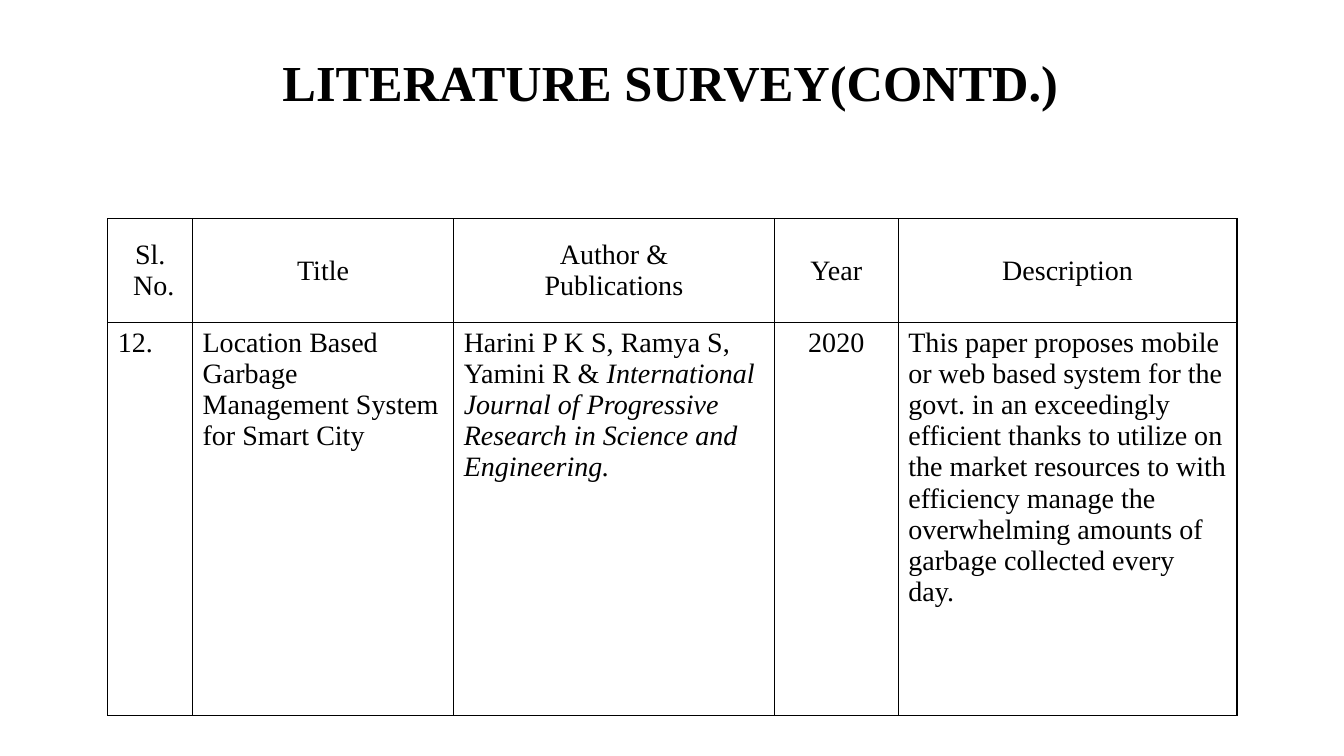
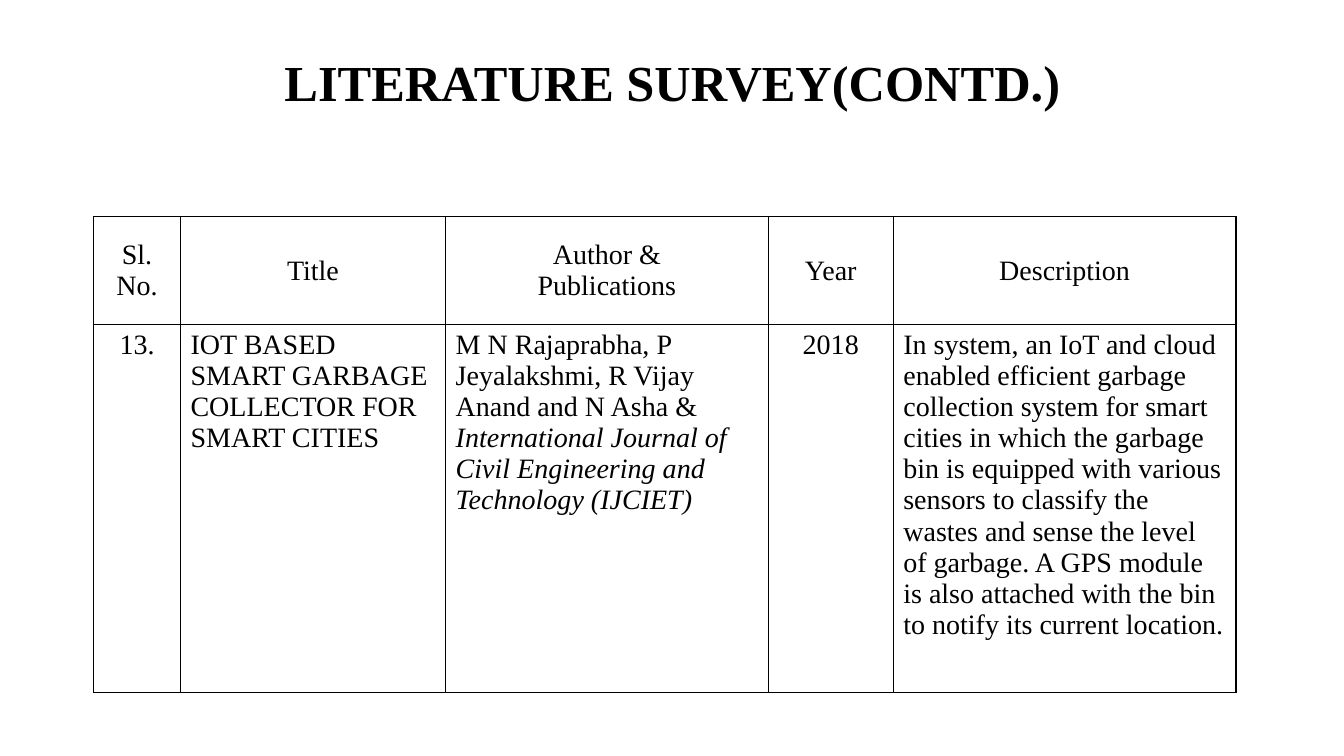
from lxml import etree
from pptx import Presentation
from pptx.dml.color import RGBColor
from pptx.enum.text import MSO_ANCHOR, PP_ALIGN
from pptx.oxml.ns import qn
from pptx.util import Inches, Pt

LEFT, CENTER = PP_ALIGN.LEFT, PP_ALIGN.CENTER
TOP, MIDDLE, BOTTOM = MSO_ANCHOR.TOP, MSO_ANCHOR.MIDDLE, MSO_ANCHOR.BOTTOM

# Content
TITLE = "LITERATURE SURVEY(CONTD.)"
HEADS = ["Title", "Author &\nPublications", "Year", "Description"]
PAPERS = [
    dict(
        title_x=1.65, left=1.07, top=2.17,
        cols=[0.84, 2.59, 3.18, 1.23, 3.36], rows=[1.03, 3.9],
        label="Sl.\n No.", number="12.", align=LEFT,
        name="Location Based Garbage Management System for Smart City",
        authors="Harini P K S, Ramya S, Yamini R & ",
        journal="International Journal of Progressive Research in Science "
                "and Engineering.",
        year="2020",
        about="This paper proposes mobile or web based system for the govt. "
              "in an exceedingly efficient thanks to utilize on the market "
              "resources to with efficiency manage the overwhelming amounts "
              "of garbage collected every day."),
    dict(
        title_x=1.67, left=0.93, top=2.15,
        cols=[0.86, 2.63, 3.2, 1.24, 3.4], rows=[1.07, 3.65],
        label="Sl. No.", number="13.", align=CENTER,
        name="IOT BASED SMART GARBAGE COLLECTOR FOR SMART CITIES",
        authors="M N Rajaprabha, P Jeyalakshmi, R Vijay Anand and N Asha & ",
        journal="International Journal of Civil Engineering and Technology "
                "(IJCIET)",
        year="2018",
        about="In system, an IoT and cloud enabled efficient garbage "
              "collection system for smart cities in which the garbage bin "
              "is equipped with various sensors to classify the wastes and "
              "sense the level of garbage. A GPS module is also attached "
              "with the bin to notify its current location."),
]

# Shared style
FONT = "Times New Roman"
COLORS = {"ink": "000000", "paper": "FFFFFF"}


def put(frame, text, tail="", size=20, bold=False, align=LEFT, spacing=None):
    """Write one paragraph per line, then an italic tail."""
    for i, line in enumerate(text.split("\n")):
        para = frame.add_paragraph() if i else frame.paragraphs[0]
        para.alignment = align
        if spacing:
            para.line_spacing = spacing
        for words, slant in ((line, False), (tail, True)):
            if words:
                run = para.add_run()
                run.text = words
                font = run.font
                font.name, font.size = FONT, Pt(size)
                font.bold, font.italic = bold, slant
                font.color.rgb = RGBColor.from_string(COLORS["ink"])


def frame_cell(cell):
    """Clear the fill and rule all four sides."""
    cell.fill.background()
    props = cell._tc.get_or_add_tcPr()
    for i, side in enumerate(("lnL", "lnR", "lnT", "lnB")):
        line = etree.Element(qn("a:" + side), w=str(Pt(1)))
        fill = etree.SubElement(line, qn("a:solidFill"))
        etree.SubElement(fill, qn("a:srgbClr"), val=COLORS["ink"])
        props.insert(i, line)


def add_title(slide, x):
    title = slide.shapes.title
    title.left, title.top = Inches(x), Inches(0.33)
    title.width, title.height = Inches(10), Inches(0.84)
    title.text_frame.vertical_anchor = BOTTOM
    put(title.text_frame, TITLE, size=36, bold=True, align=CENTER, spacing=0.9)


def add_survey(slide, paper):
    cols, rows = paper["cols"], paper["rows"]
    table = slide.shapes.add_table(
        len(rows), len(cols), Inches(paper["left"]), Inches(paper["top"]),
        Inches(sum(cols)), Inches(sum(rows))).table
    table.first_row = table.horz_banding = False
    for col, width in zip(table.columns, cols):
        col.width = Inches(width)
    for row, height in zip(table.rows, rows):
        row.height = Inches(height)

    # Each entry: text, italic tail, alignment
    head = [(text, "", CENTER) for text in [paper["label"]] + HEADS]
    body = [
        (paper["number"], "", paper["align"]),
        (paper["name"], "", LEFT),
        (paper["authors"], paper["journal"], LEFT),
        (paper["year"], "", CENTER),
        (paper["about"], "", LEFT),
    ]
    for r, (line, anchor) in enumerate(((head, MIDDLE), (body, TOP))):
        for c, (text, tail, align) in enumerate(line):
            cell = table.cell(r, c)
            cell.vertical_anchor = anchor
            put(cell.text_frame, text, tail=tail, align=align)
            frame_cell(cell)


# Build the slides
deck = Presentation()
deck.slide_width, deck.slide_height = Inches(13.33), Inches(7.5)
back = deck.slide_master.background.fill
back.solid()
back.fore_color.rgb = RGBColor.from_string(COLORS["paper"])
for paper in PAPERS:
    slide = deck.slides.add_slide(deck.slide_layouts[5])
    add_title(slide, paper["title_x"])
    add_survey(slide, paper)
deck.save("out.pptx")
